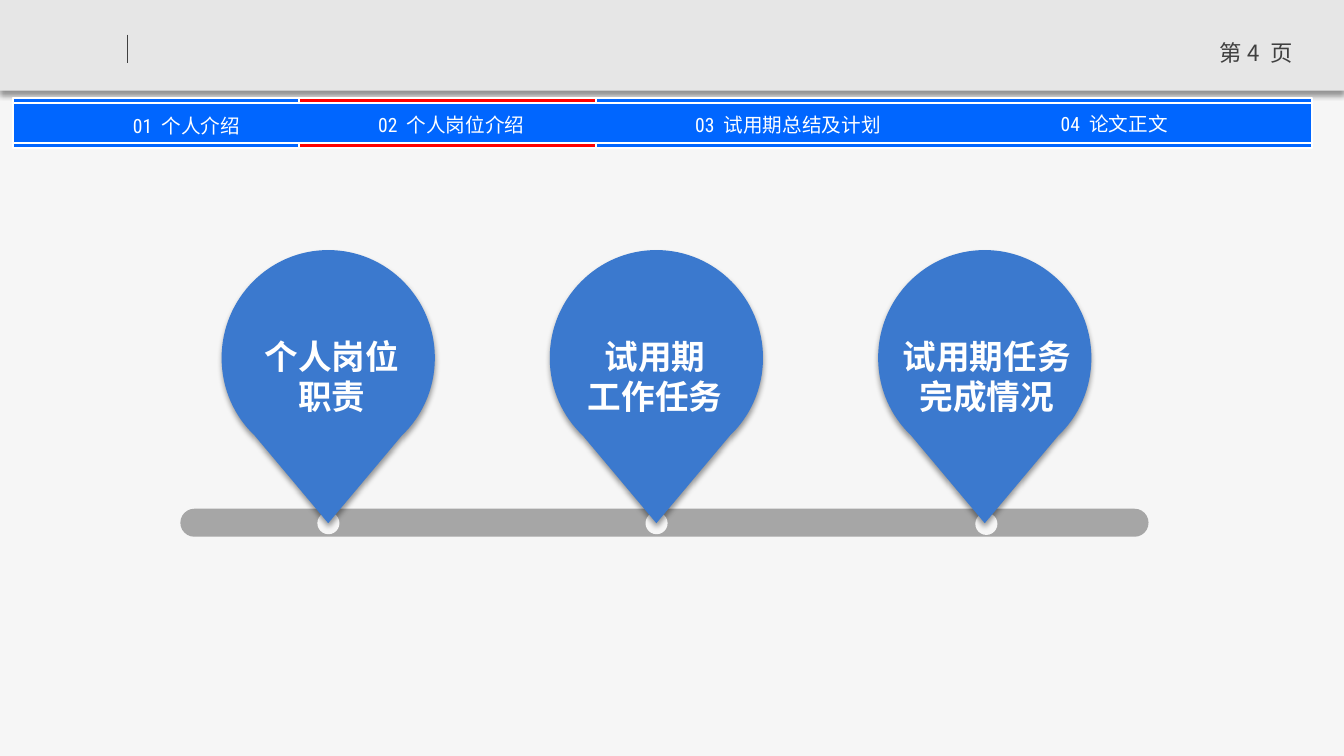
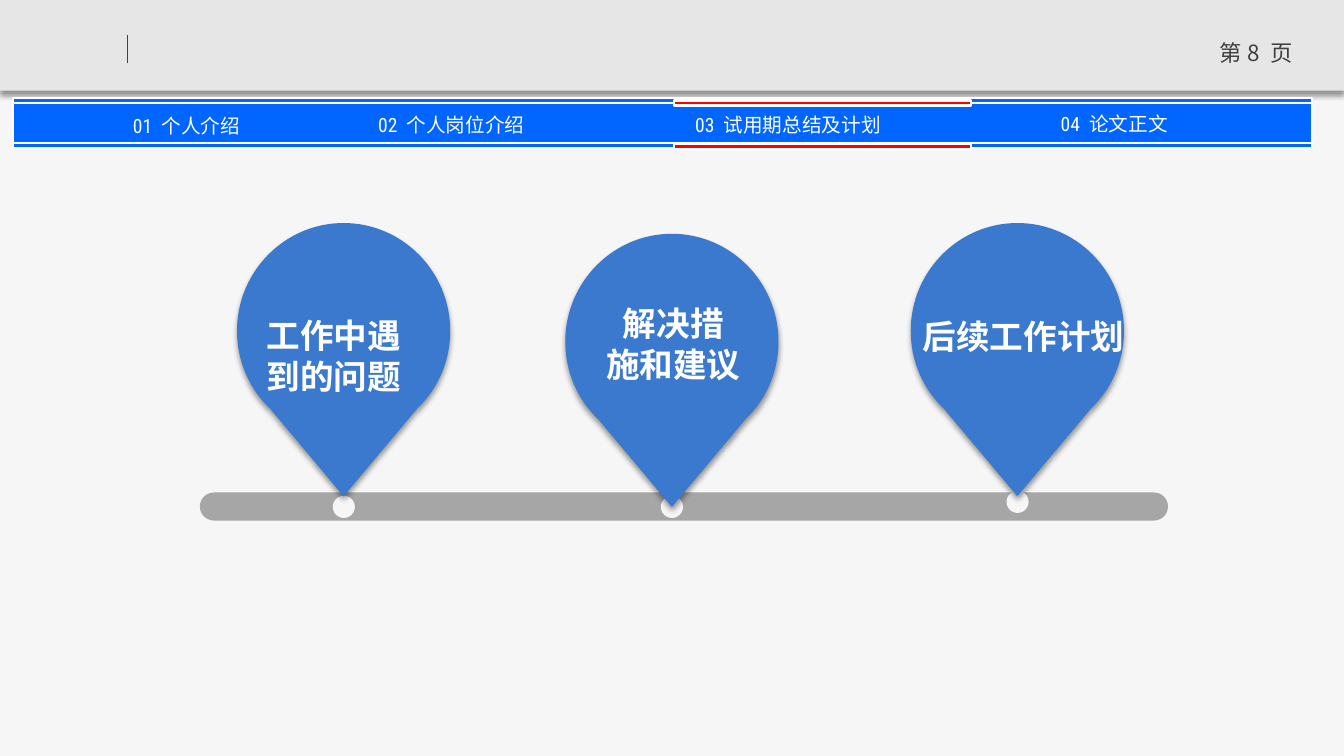
import pptx
import pptx.util
import pptx.dml.color
import pptx.enum.shapes
import pptx.enum.text
import pptx.oxml
import pptx.oxml.ns
from lxml import etree

Pt = pptx.util.Pt
qn = pptx.oxml.ns.qn
SHAPE = pptx.enum.shapes.MSO_SHAPE
ANCHOR = pptx.enum.text.MSO_ANCHOR

# Shared look
WIDTH, HEIGHT = 960.5, 540
PAPER, HEADER, INK, WHITE = "F6F6F6", "E6E6E6", "404040", "FFFFFF"
NAV_BLUE, ACTIVE_RED, PIN_BLUE, BAR_GREY = "0066FF", "FF0000", "3B79CE", "A6A6A6"
CJK, LATIN = "Noto Sans CJK SC", "Roboto Condensed"

# Navigation: text, left, top
NAV = [
    ("01 个人介绍", 43.9, 81),
    ("02 个人岗位介绍", 233.3, 80.6),
    ("03 试用期总结及计划", 473.8, 80.6),
    ("04 论文正文", 707, 79.9),
]
NAV_LEFT, NAV_WIDTH = 9.4, 928
STRIP_HEIGHT, ACTIVE_WIDTH = 3.6, 212.4
STRIP_TOPS = (102.2, 70.3)

# Timeline geometry
BAR_SIZE = (691.9, 20)
DOT = 15.8
PIN_RADIUS, PIN_HEIGHT = 76.2, 195.1
# Right half of the pin head, from its top: two curves of three points each
PIN_CURVES = [(42, 0), (76.2, 34.6), (76.2, 77),
              (76.2, 99.2), (67, 118.8), (52.6, 132.5)]

# Each pin: (left, top), dot (left, top), label box, label lines, wrap
SLIDES = [
    {
        "page": "第 4 页",
        "active": (213.8, STRIP_TOPS),
        "bar": (128.9, 363.4),
        "pins": [
            ((158.4, 178.6), (226.8, 365.8), (181.4, 236.2, 111.6, 65.5),
             ["个人岗位", "职责"], False),
            ((392.9, 178.6), (461.3, 365.8), (412.4, 236.2, 111.6, 65.5),
             ["试用期", "工作任务"], False),
            ((627.6, 178.6), (697, 366.3), (637.4, 236.2, 135.4, 65.5),
             ["试用期任务", "完成情况"], False),
        ],
    },
    {
        "page": "第 8 页",
        "active": (481.7, (103, 71.8)),
        "bar": (142.8, 351.8),
        "pins": [
            ((169.4, 159.3), (237.8, 354.2), (174.2, 221.6, 128.9, 65.5),
             ["工作中遇到的问题"], True),
            ((404, 167), (472.3, 354.2), (425.4, 213.1, 111.6, 65.5),
             ["解决措", "施和建议"], False),
            ((650.9, 159.3), (719.3, 350.6), (652.3, 222.3, 158.4, 36),
             ["后续工作计划"], False),
        ],
    },
]


def rgb(color):
    """Turn a hex string into a colour."""
    return pptx.dml.color.RGBColor.from_string(color)


def paint(sp, fill, line=None, shadow=False):
    """Set fill, outline and shadow of a shape."""
    sp.shadow.inherit = False
    sp.fill.solid()
    sp.fill.fore_color.rgb = rgb(fill)
    if line:
        sp.line.color.rgb = rgb(line)
        sp.line.width = Pt(1.5)
    else:
        sp.line.fill.background()
    if shadow:
        effects = sp._element.spPr.find(qn("a:effectLst"))
        effects.append(pptx.oxml.parse_xml(
            f'<a:outerShdw {pptx.oxml.ns.nsdecls("a")} blurRad="{Pt(4)}" '
            f'dist="{Pt(3)}" dir="5400000" algn="t" rotWithShape="0">'
            '<a:srgbClr val="000000"><a:alpha val="40000"/></a:srgbClr>'
            '</a:outerShdw>'))


def add_block(s, kind, box, fill, **style):
    """Add a preset shape."""
    sp = s.shapes.add_shape(kind, *map(Pt, box))
    paint(sp, fill, **style)
    return sp


def add_text(s, box, lines, size, color=WHITE, font=CJK, bold=False, wrap=True,
             anchor=ANCHOR.TOP, inset=True, gap=0):
    """Add centred text; gap widens the last space of each line, in points."""
    tf = s.shapes.add_textbox(*map(Pt, box)).text_frame
    tf.word_wrap = wrap
    tf.vertical_anchor = anchor
    if not inset:
        tf.margin_left = tf.margin_right = tf.margin_top = tf.margin_bottom = 0
    for i, line in enumerate(lines):
        p = tf.add_paragraph() if i else tf.paragraphs[0]
        p.alignment = pptx.enum.text.PP_ALIGN.CENTER
        p.line_spacing = Pt(round(size * 1.2, 1))
        for part in line.rpartition(" ") if gap else [line]:
            r = p.add_run()
            r.text = part
            r.font.size = Pt(size)
            r.font.bold = bold
            r.font.name = font
            r.font.color.rgb = rgb(color)
            props = r._r.get_or_add_rPr()
            etree.SubElement(props, qn("a:ea")).set("typeface", CJK)
            if part == " ":
                props.set("spc", str(round(gap * 100)))


def add_frame(s, page, active):
    """Add the header, page number and navigation band."""
    add_block(s, SHAPE.RECTANGLE, (0, 0, WIDTH, 64.8), HEADER, shadow=True)
    rule = s.shapes.add_connector(pptx.enum.shapes.MSO_CONNECTOR.STRAIGHT,
                                  *map(Pt, (91.4, 24.8, 91.4, 45.1)))
    rule.line.color.rgb = rgb(INK)
    rule.line.width = Pt(0.75)
    etree.SubElement(rule._element.spPr, qn("a:effectLst"))
    add_text(s, (854.6, 24.2, 86.4, 28.8), [page], 16, color=INK, gap=4)

    add_block(s, SHAPE.RECTANGLE, (NAV_LEFT, 73.9, NAV_WIDTH, 31),
              NAV_BLUE, line=WHITE)
    active_left, active_tops = active
    for left, tops, width, fill in (
            (NAV_LEFT, STRIP_TOPS, NAV_WIDTH, NAV_BLUE),
            (active_left, active_tops, ACTIVE_WIDTH, ACTIVE_RED)):
        for top in tops:
            add_block(s, SHAPE.RECTANGLE, (left, top, width, STRIP_HEIGHT),
                      fill, line=WHITE)
    for text, left, top in NAV:
        add_text(s, (left, top, 178.6, 17.3), [text], 14, font=LATIN,
                 anchor=ANCHOR.MIDDLE, inset=False, gap=3.3)


def bend(lines):
    """Turn each three straight segments into one cubic curve."""
    for first, *others in zip(lines[::3], lines[1::3], lines[2::3]):
        first.tag = qn("a:cubicBezTo")
        for segment in others:
            first.append(segment[0])
            segment.getparent().remove(segment)


def add_pin(s, left, top):
    """Add a map pin: a round head closed by a point at the bottom."""
    cx = left + PIN_RADIUS
    mirrored = [(-x, y) for x, y in reversed(PIN_CURVES)]
    route = PIN_CURVES + [(0, PIN_HEIGHT)] + mirrored + [(0, 0)]
    outline = s.shapes.build_freeform(Pt(cx), Pt(top))
    outline.add_line_segments([(Pt(cx + x), Pt(top + y)) for x, y in route],
                              close=True)
    sp = outline.convert_to_shape()
    segments = list(sp._element.iter(qn("a:lnTo")))
    bend(segments[:6])
    bend(segments[8:14])
    paint(sp, PIN_BLUE, shadow=True)


def add_timeline(s, bar, pins):
    """Add the bar with its dots, pins and labels."""
    sp = add_block(s, SHAPE.ROUNDED_RECTANGLE, bar + BAR_SIZE, BAR_GREY)
    sp.adjustments[0] = 0.5
    for pin, dot, box, lines, wrap in pins:
        add_block(s, SHAPE.OVAL, dot + (DOT, DOT), PAPER)
        add_pin(s, *pin)
        add_text(s, box, lines, 24, bold=True, wrap=wrap)


def main():
    """Build and save the slides."""
    prs = pptx.Presentation()
    prs.slide_width, prs.slide_height = Pt(WIDTH), Pt(HEIGHT)
    backdrop = prs.slide_master.background.fill
    backdrop.solid()
    backdrop.fore_color.rgb = rgb(PAPER)
    for content in SLIDES:
        s = prs.slides.add_slide(prs.slide_layouts[6])
        add_frame(s, content["page"], content["active"])
        add_timeline(s, content["bar"], content["pins"])
    prs.save("out.pptx")


main()
